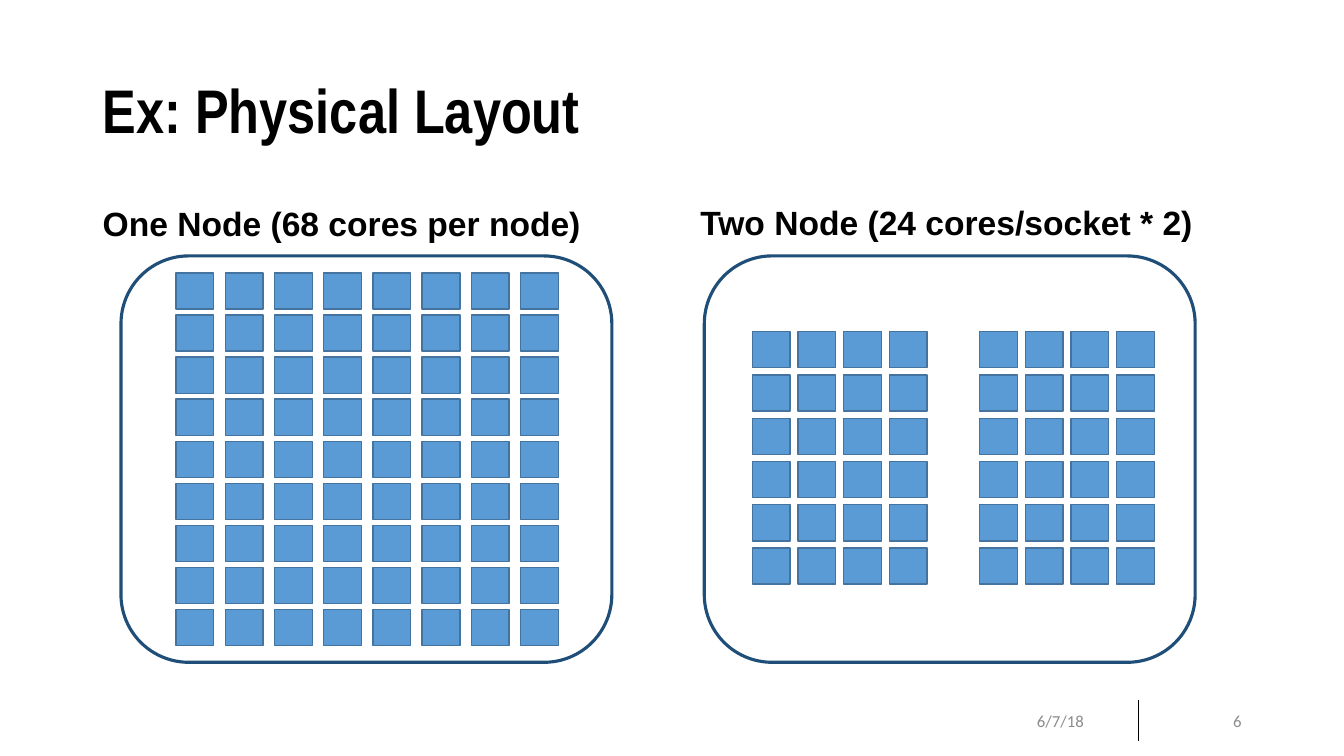
import pptx
import pptx.util
import pptx.dml.color
import pptx.enum.shapes
import pptx.enum.text
import lxml.etree

Cm, Pt = pptx.util.Cm, pptx.util.Pt
RGBColor = pptx.dml.color.RGBColor
ANCHOR = pptx.enum.text.MSO_ANCHOR
ALIGN = pptx.enum.text.PP_ALIGN
SHAPE = pptx.enum.shapes.MSO_SHAPE

BLACK = RGBColor(0x00, 0x00, 0x00)
WHITE = RGBColor(0xFF, 0xFF, 0xFF)
GREY = RGBColor(0x8C, 0x8C, 0x8C)
NAVY = RGBColor(0x1F, 0x4E, 0x79)
BLUE = RGBColor(0x5B, 0x9B, 0xD5)
STEEL = RGBColor(0x43, 0x73, 0x9E)

TITLE = ("Ex: Physical Layout", (2.34, 1.02, 29.21, 3.68))
DATE = ("6/7/18", (25.88, 17.65, 2.18, 1.02))
PAGE_NUMBER = ("6", (29.36, 17.65, 2.18, 1.02))
DIVIDER = (28.68, 17.65, 28.68, 18.67)

NODES = [
    {
        "heading": "One Node (68 cores per node)",
        "heading_box": (2.34, 3.99, 14.33, 2.29),
        "left": 3.05,
        "sockets": [(4.44, 6.88)],
        "columns": 8,
        "rows": 9,
        "pitch": (1.24, 1.06),
    },
    {
        "heading": "Two Node (24 cores/socket * 2)",
        "heading_box": (17.4, 3.96, 14.4, 2.29),
        "left": 17.75,
        "sockets": [(18.96, 8.36), (24.69, 8.36)],
        "columns": 4,
        "rows": 6,
        "pitch": (1.15, 1.09),
    },
]
NODE_TOP, NODE_WIDTH, NODE_HEIGHT = 6.45, 12.37, 10.24
CORE_WIDTH, CORE_HEIGHT = 0.95, 0.91


def add_text(slide, text, box, font, size, color, anchor,
             bold=False, align=ALIGN.LEFT, spacing=1.0):
    frame = slide.shapes.add_textbox(*map(Cm, box)).text_frame
    frame.word_wrap = True
    frame.vertical_anchor = anchor
    paragraph = frame.paragraphs[0]
    paragraph.text = text
    paragraph.alignment = align
    paragraph.line_spacing = spacing
    paragraph.font.name = font
    paragraph.font.size = Pt(size)
    paragraph.font.bold = bold
    paragraph.font.color.rgb = color


def add_block(group, preset, box, fill, outline, weight):
    block = group.shapes.add_shape(preset, *map(Cm, box))
    block.shadow.inherit = False
    block.fill.solid()
    block.fill.fore_color.rgb = fill
    block.line.color.rgb = outline
    block.line.width = Pt(weight)


def add_node(slide, node):
    add_text(slide, node["heading"], node["heading_box"], "Arial", 24, BLACK,
             ANCHOR.BOTTOM, bold=True, spacing=0.9)
    group = slide.shapes.add_group_shape()
    add_block(group, SHAPE.ROUNDED_RECTANGLE,
              (node["left"], NODE_TOP, NODE_WIDTH, NODE_HEIGHT), WHITE, NAVY, 2.25)
    pitch_x, pitch_y = node["pitch"]
    for left, top in node["sockets"]:
        for row in range(node["rows"]):
            for column in range(node["columns"]):
                add_block(group, SHAPE.RECTANGLE,
                          (left + column * pitch_x, top + row * pitch_y,
                           CORE_WIDTH, CORE_HEIGHT), BLUE, STEEL, 1)


def add_divider(slide):
    divider = slide.shapes.add_connector(
        pptx.enum.shapes.MSO_CONNECTOR.STRAIGHT, *map(Cm, DIVIDER))
    divider.line.color.rgb = BLACK
    divider.line.width = Pt(0.5)
    lxml.etree.SubElement(divider._element.spPr, pptx.oxml.ns.qn("a:effectLst"))


def main():
    deck = pptx.Presentation()
    deck.slide_width, deck.slide_height = Cm(33.87), Cm(19.05)
    slide = deck.slides.add_slide(deck.slide_layouts[6])
    add_divider(slide)
    add_text(slide, *TITLE, "Arial Narrow", 44, BLACK, ANCHOR.MIDDLE,
             bold=True, spacing=0.9)
    for node in NODES:
        add_node(slide, node)
    add_text(slide, *DATE, "Calibri", 12, GREY, ANCHOR.MIDDLE)
    add_text(slide, *PAGE_NUMBER, "Calibri", 12, GREY, ANCHOR.MIDDLE,
             align=ALIGN.RIGHT)
    deck.save("out.pptx")


if __name__ == "__main__":
    main()
